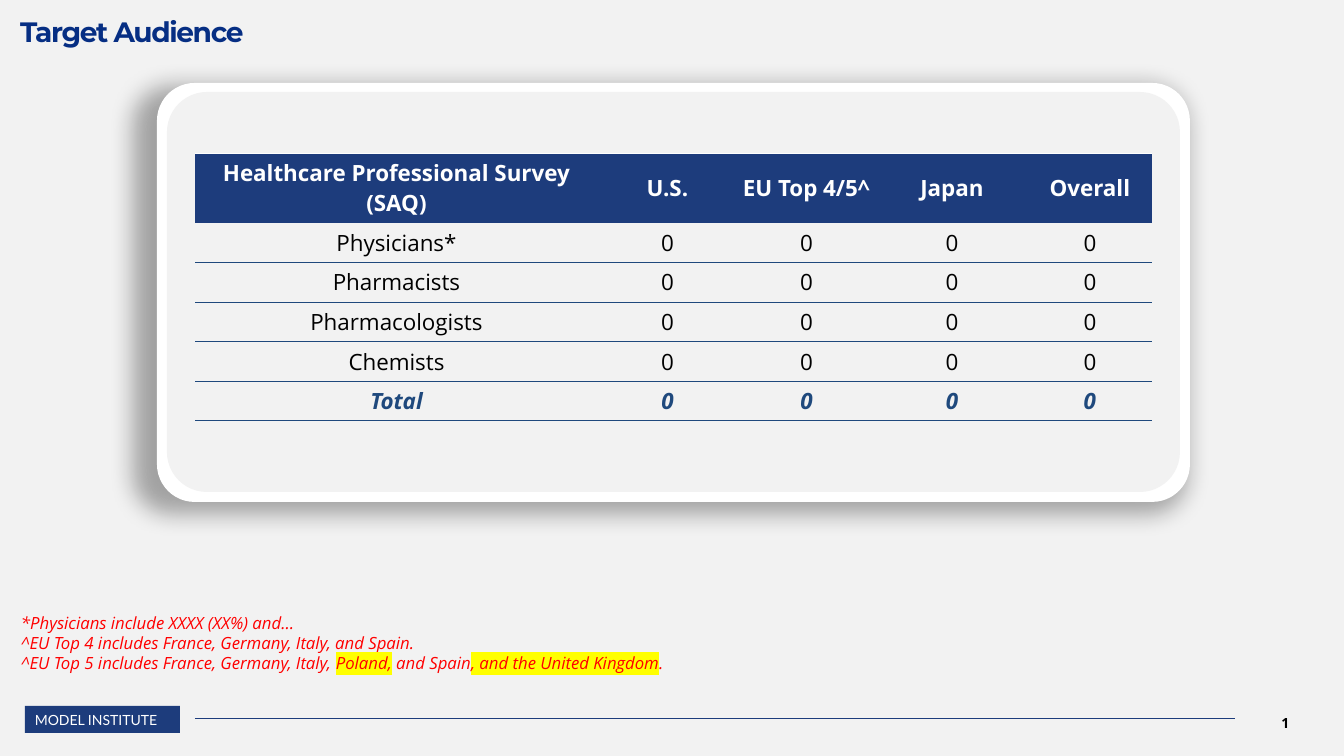
from lxml.etree import SubElement as Sub
from pptx import Presentation
from pptx.dml.color import RGBColor
from pptx.enum.shapes import MSO_CONNECTOR as Conn, MSO_SHAPE as Shape
from pptx.enum.text import MSO_ANCHOR as Anchor, PP_ALIGN as Align
from pptx.oxml.ns import qn
from pptx.util import Pt

# Content
TITLE = "Target Audience"
LABEL = "MODEL INSTITUTE"
PAGE = "4"
HEAD = ["Healthcare Professional Survey (SAQ)", "U.S.", "EU Top 4/5^",
        "Japan", "Overall"]
GROUPS = ["Physicians*", "Pharmacists", "Pharmacologists", "Chemists", "Total"]
ROWS = [HEAD] + [[name] + ["0"] * 4 for name in GROUPS]
MARK = "FFFF00"
NOTES = [  # each line is a list of (text, highlight)
    [("*Physicians include XXXX (XX%) and…", None)],
    [("^EU Top 4 includes France, Germany, Italy, and Spain.", None)],
    [("^EU Top 5 includes France, Germany, Italy, ", None), ("Poland,", MARK),
     (" and Spain", None), (", and the United Kingdom", MARK), (".", None)],
]

# Look
NAVY, BLUE, PALE, WHITE, BLACK = "1D3C7C", "1F497D", "F2F2F2", "FFFFFF", "000000"
COLS = [403, 139, 139, 152, 124]
HEAD_H, BODY_H = 70, 198
SCALE = 914400 / 100.8


def px(n):
    return round(n * SCALE)


def rgb(code):
    return RGBColor.from_string(code)


def write(para, text, size=16, face="Open Sans", color=BLACK, bold=False,
          italic=False, align=None, mark=None):
    run = para.add_run()
    run.text = text
    font = run.font
    font.size, font.name, font.bold, font.italic = Pt(size), face, bold, italic
    font.color.rgb = rgb(color)
    if align is not None:
        para.alignment = align
    if mark:
        light = Sub(run._r.rPr, qn("a:highlight"))
        Sub(light, qn("a:srgbClr"), val=mark)
        run._r.rPr.find(qn("a:solidFill")).addnext(light)
    return run


def block(kind, x, y, w, h, color):
    item = slide.shapes.add_shape(kind, px(x), px(y), px(w), px(h))
    item.shadow.inherit = False
    item.fill.solid()
    item.fill.fore_color.rgb = rgb(color)
    item.line.fill.background()
    return item


def box(x, y, w, h):
    frame = slide.shapes.add_textbox(px(x), px(y), px(w), px(h)).text_frame
    frame.word_wrap = True
    frame.vertical_anchor = Anchor.MIDDLE
    return frame


def edge(cell, side, color):
    line = Sub(cell._tc.get_or_add_tcPr(), qn("a:" + side), w=str(Pt(0.5)))
    Sub(Sub(line, qn("a:solidFill")), qn("a:srgbClr"), val=color)


deck = Presentation()
deck.slide_width, deck.slide_height = px(1344), px(756)
slide = deck.slides.add_slide(deck.slide_layouts[5])
slide.background.fill.solid()
slide.background.fill.fore_color.rgb = rgb(PALE)

# Footer: label, rule, page number
tag = block(Shape.RECTANGLE, 25, 706, 155, 27, NAVY)
tag.text_frame.word_wrap = False
write(tag.text_frame.paragraphs[0], LABEL, size=10, face="Lato", color=WHITE,
      align=Align.LEFT)
rule = slide.shapes.add_connector(Conn.STRAIGHT, px(195), px(718), px(1235), px(718))
rule.line.color.rgb = rgb(NAVY)
rule.line.width = Pt(0.5)
Sub(rule._element.spPr, qn("a:effectLst"))
page = write(box(1230, 703, 111, 40).paragraphs[0], PAGE, size=10, bold=True,
             align=Align.CENTER)
page._r.tag = qn("a:fld")
page._r.set("id", "{B6F15528-21DE-4FAA-801E-634DDDAF4B2B}")
page._r.set("type", "slidenum")

# Title
title = slide.shapes.title
title.left, title.top, title.width, title.height = px(20), 0, px(1292), px(48)
frame = title.text_frame
frame.margin_left = frame.margin_right = frame.margin_bottom = 0
frame.margin_top = px(21)
frame.vertical_anchor = Anchor.TOP
para = frame.paragraphs[0]
para.line_spacing = 0.8
run = write(para, TITLE, size=20, face="Montserrat", color="062E83", bold=True,
            align=Align.LEFT)
run._r.rPr.set("spc", "-100")

# Footnotes
frame = box(11, 607, 791, 72)
for i, parts in enumerate(NOTES):
    para = frame.add_paragraph() if i else frame.paragraphs[0]
    for text, mark in parts:
        write(para, text, size=12, color="FF0000", italic=True, mark=mark)

# Card with a soft shadow
card = block(Shape.ROUNDED_RECTANGLE, 157, 83, 1033, 419, WHITE)
card.adjustments[0] = 0.09
glow = Sub(card._element.spPr.find(qn("a:effectLst")), qn("a:outerShdw"),
           blurRad=str(Pt(17)), dist=str(Pt(3)), dir="8100000",
           sx="102000", sy="102000", algn="tr", rotWithShape="0")
Sub(Sub(glow, qn("a:srgbClr"), val=BLACK), qn("a:alpha"), val="33000")
inner = block(Shape.ROUNDED_RECTANGLE, 167, 92, 1013, 400, PALE)
inner.adjustments[0] = 0.1

# Survey table
table = slide.shapes.add_table(len(ROWS), len(COLS), px(195), px(153),
                               px(sum(COLS)), px(HEAD_H + BODY_H)).table
table.horz_banding = False
table._tbl.tblPr.find(qn("a:tableStyleId")).text = \
    "{2D5ABB26-0587-4C30-8999-92F81FD0307C}"
for col, wide in zip(table.columns, COLS):
    col.width = px(wide)
for r, row in enumerate(ROWS):
    top, last = r == 0, r == len(ROWS) - 1
    table.rows[r].height = px(HEAD_H if top else BODY_H / len(GROUPS))
    color = WHITE if top else BLUE if last else BLACK
    for c, text in enumerate(row):
        cell = table.cell(r, c)
        cell.margin_left = cell.margin_right = 0
        cell.margin_top = cell.margin_bottom = 0
        cell.vertical_anchor = Anchor.MIDDLE
        edge(cell, "lnT" if top else "lnB", WHITE if top else BLUE)
        cell.fill.solid()
        cell.fill.fore_color.rgb = rgb(NAVY if top else PALE)
        write(cell.text_frame.paragraphs[0], text, color=color,
              bold=top or last, italic=last, align=Align.CENTER)

deck.save("out.pptx")
